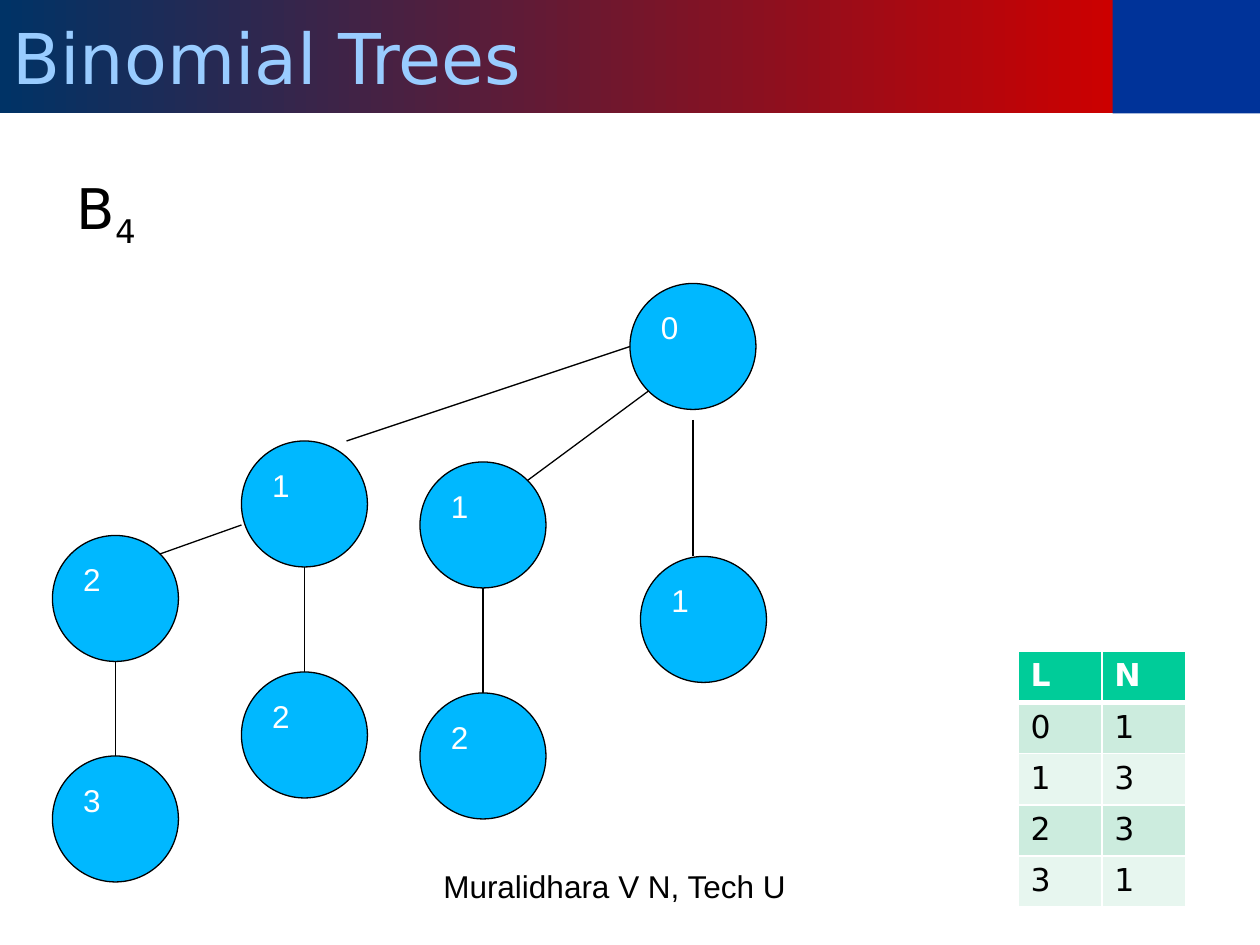
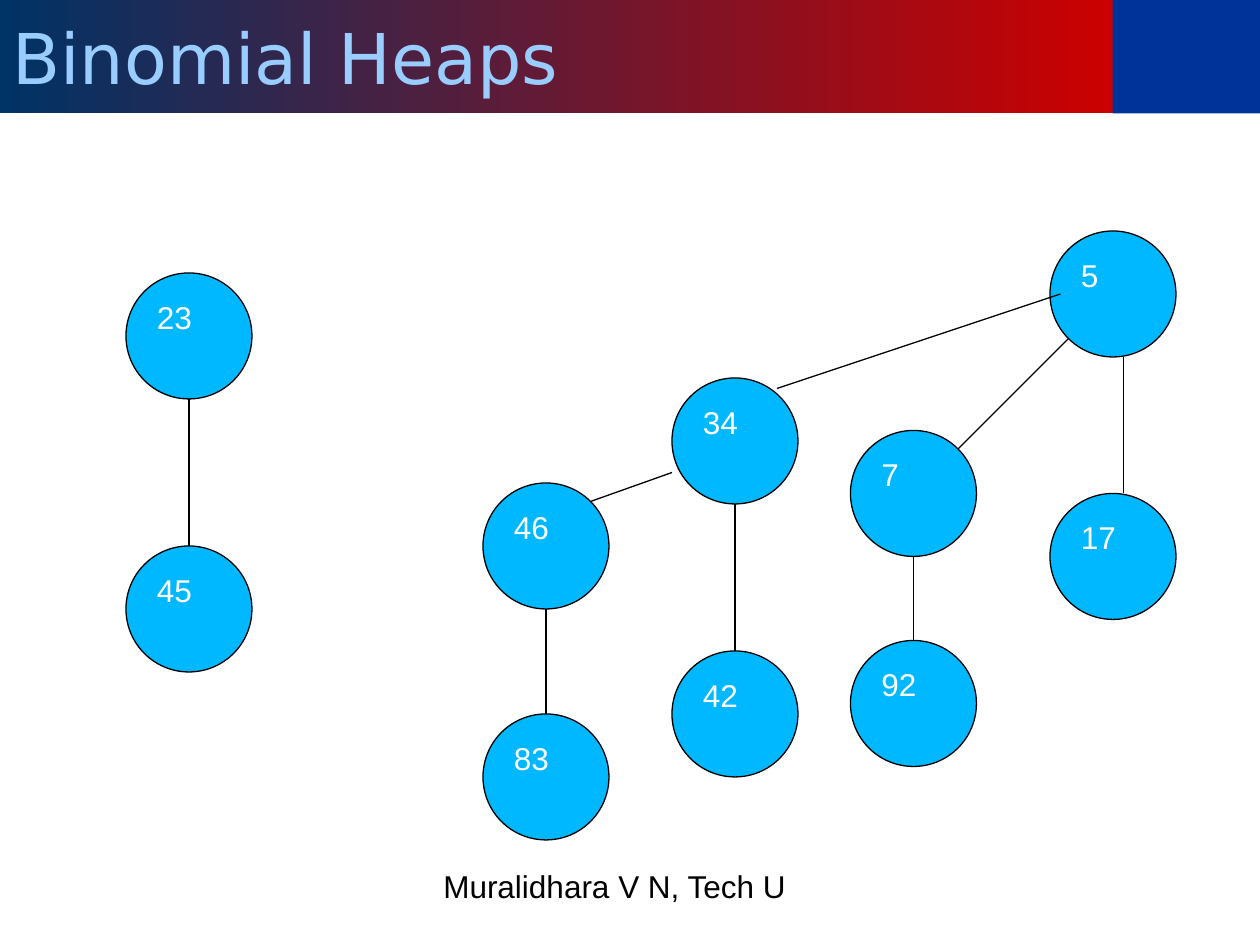
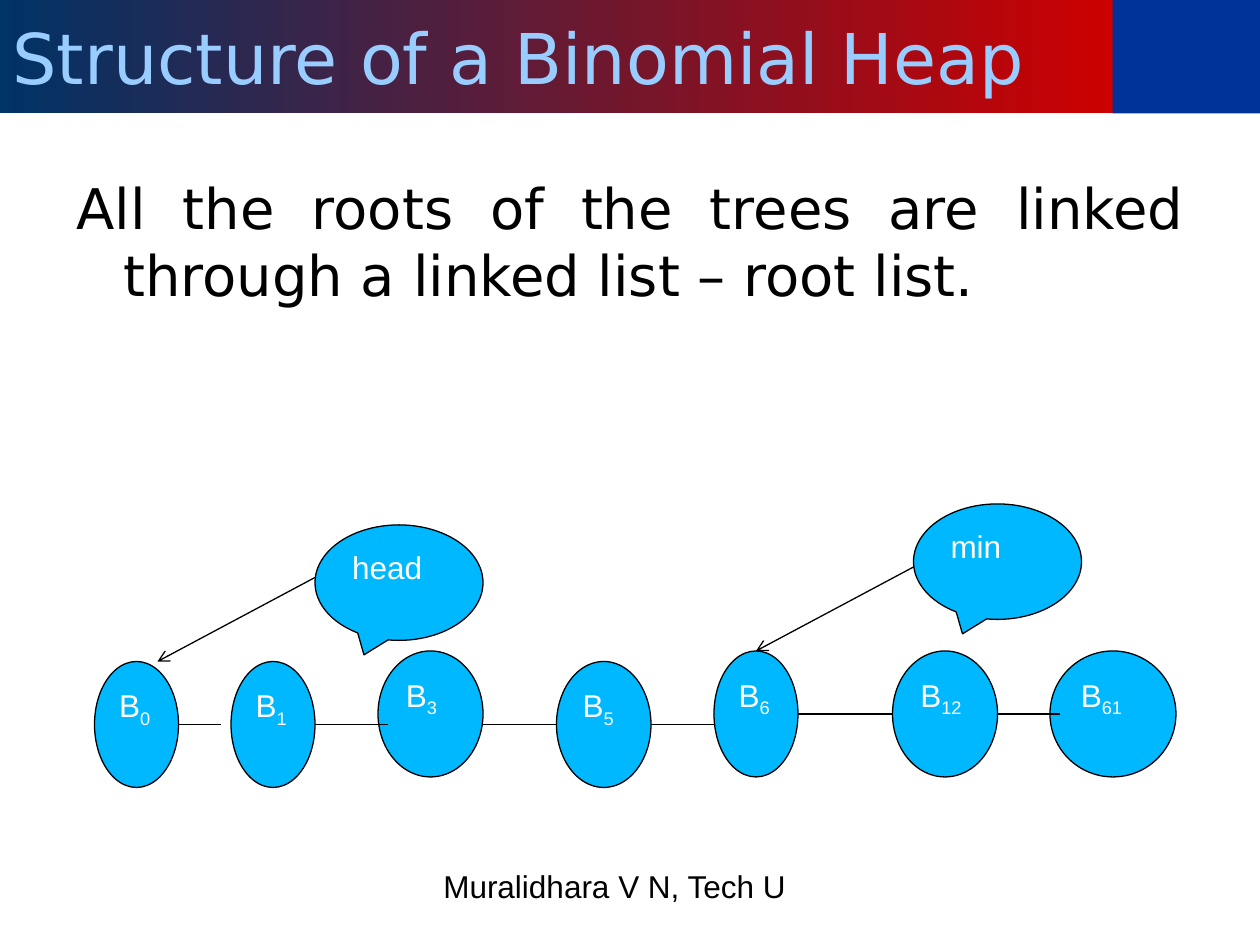
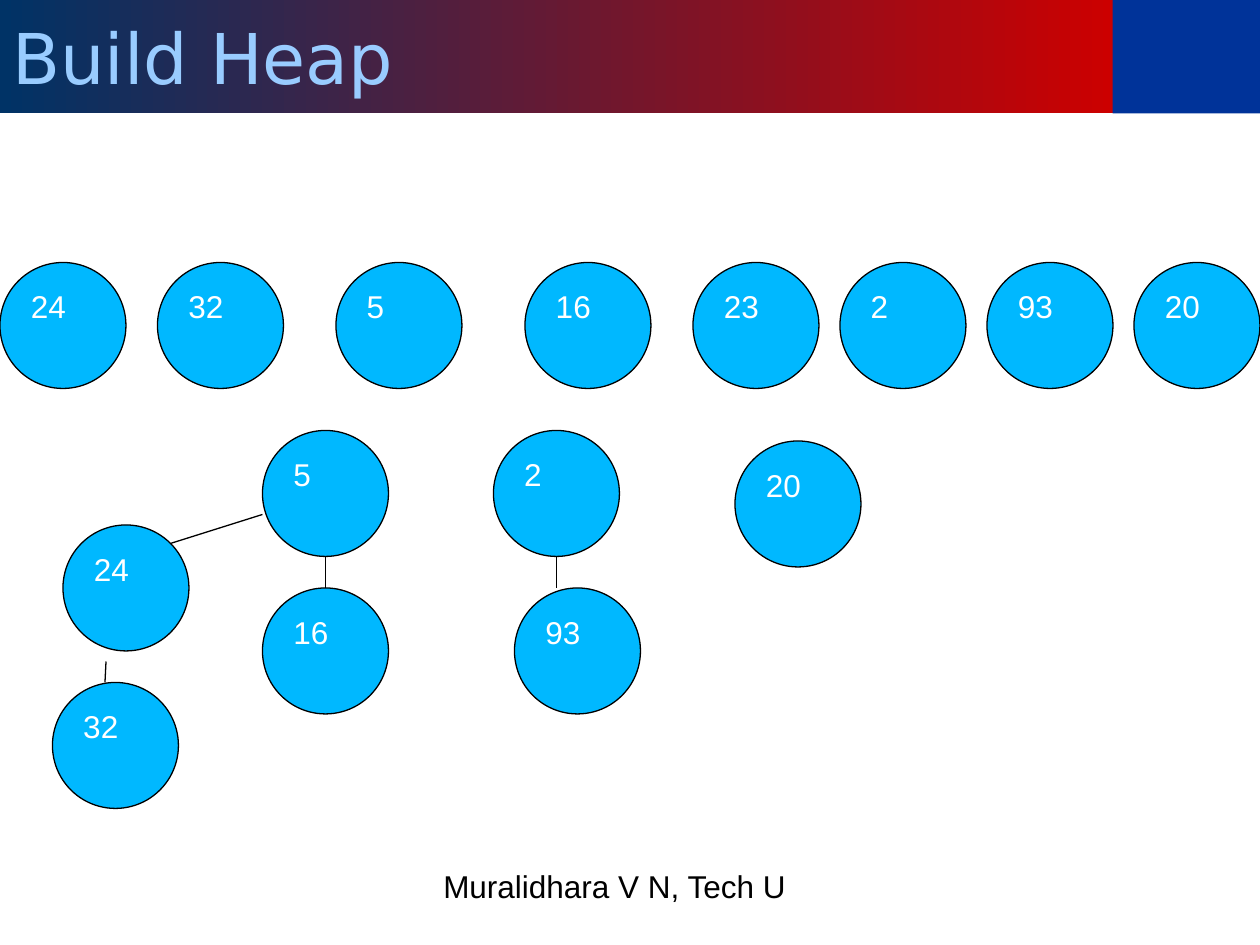
from lxml import etree
from pptx import Presentation
from pptx.dml.color import RGBColor
from pptx.enum.shapes import MSO_CONNECTOR, MSO_SHAPE
from pptx.enum.text import MSO_ANCHOR, MSO_AUTO_SIZE, PP_ALIGN
from pptx.oxml.ns import qn
from pptx.util import Inches, Pt

COLORS = {
    "band_start": "003366", "band_end": "CC0000", "corner": "003399",
    "title": "99CCFF", "node": "00B8FF", "black": "000000", "white": "FFFFFF",
    "table_head": "00CC99", "row_dark": "CCECDE", "row_light": "E7F6EF",
}
TITLE_FONT, NODE_FONT = "DejaVu Sans", "Arial"
FOOTER = "Muralidhara V N, Tech U"
NODE = 12  # node diameter, in grid units


def grid(units):
    """Length of a number of grid units; twelve units make an inch."""
    return Inches(units / 12)


def rgb(name):
    """Colour object for a palette name."""
    return RGBColor.from_string(COLORS[name])


def add_run(paragraph, text, size, font, color, bold=False, subscript=False):
    """Append one formatted run."""
    run = paragraph.add_run()
    run.text = text
    run.font.size, run.font.name, run.font.bold = Pt(size), font, bold
    run.font.color.rgb = rgb(color)
    if subscript:
        run.font._element.set("baseline", "-25000")


def add_text_box(slide, left, top, width, height):
    """Add a wrapping text box and return its first paragraph."""
    box = slide.shapes.add_textbox(
        Inches(left), Inches(top), Inches(width), Inches(height))
    box.text_frame.word_wrap = True
    return box.text_frame.paragraphs[0]


def add_slide(prs, title, footer_width=4.92):
    """Start a slide with its title band, corner block and footer."""
    slide = prs.slides.add_slide(prs.slide_layouts[5])
    band = slide.shapes.title
    band.left, band.top = Inches(0), Inches(0)
    band.width, band.height = Inches(8.84), Inches(0.9)
    band.fill.gradient()
    band.fill.gradient_angle = 180
    for stop, color in zip(band.fill.gradient_stops, ("band_end", "band_start")):
        stop.color.rgb = rgb(color)
    frame = band.text_frame
    frame.auto_size = MSO_AUTO_SIZE.NONE
    frame.vertical_anchor = MSO_ANCHOR.MIDDLE
    frame.paragraphs[0].alignment = PP_ALIGN.LEFT
    add_run(frame.paragraphs[0], title, 40, TITLE_FONT, "title")

    corner = slide.shapes.add_shape(
        MSO_SHAPE.RECTANGLE, Inches(8.83), Inches(0), Inches(1.17), Inches(0.9))
    corner.shadow.inherit = False
    corner.fill.solid()
    corner.fill.fore_color.rgb = rgb("corner")
    corner.line.fill.background()

    footer = add_text_box(slide, 3.42, 6.83, footer_width, 0.52)
    add_run(footer, FOOTER, 18, NODE_FONT, "black")
    return slide


def add_body(slide, text, subscript=""):
    """Add the justified body paragraph with a hanging indent."""
    paragraph = add_text_box(slide, 0.5, 1.33, 9, 5.37)
    paragraph.alignment = PP_ALIGN.JUSTIFY
    paragraph.space_before = Pt(8)
    properties = paragraph._p.get_or_add_pPr()
    properties.set("marL", str(Inches(0.38)))
    properties.set("indent", str(Inches(-0.37)))
    add_run(paragraph, text, 32, TITLE_FONT, "black")
    if subscript:
        add_run(paragraph, subscript, 32, TITLE_FONT, "black", subscript=True)


def add_node(slide, x, y, text, width=NODE, height=NODE, subscript="",
             kind=MSO_SHAPE.OVAL):
    """Add a labelled node at a grid position."""
    node = slide.shapes.add_shape(kind, grid(x), grid(y), grid(width), grid(height))
    node.shadow.inherit = False
    node.fill.solid()
    node.fill.fore_color.rgb = rgb("node")
    node.line.color.rgb = rgb("black")
    node.line.width = Pt(0.75)
    node.text_frame.vertical_anchor = MSO_ANCHOR.TOP
    paragraph = node.text_frame.paragraphs[0]
    paragraph.alignment = PP_ALIGN.LEFT
    add_run(paragraph, text, 18, NODE_FONT, "white")
    if subscript:
        add_run(paragraph, subscript, 18, NODE_FONT, "white", subscript=True)


def add_edge(slide, x1, y1, x2, y2, arrow=False):
    """Draw a thin line between two grid points, with an arrowhead if asked."""
    edge = slide.shapes.add_connector(
        MSO_CONNECTOR.STRAIGHT, grid(x1), grid(y1), grid(x2), grid(y2))
    edge.line.color.rgb = rgb("black")
    edge.line.width = Pt(0.75)
    if arrow:
        etree.SubElement(edge.line._get_or_add_ln(), qn("a:tailEnd"), type="arrow")
    etree.SubElement(edge._element.spPr, qn("a:effectLst"))


def add_tree(slide, left, top, nodes, edges=()):
    """Draw nodes (x, y, key) and edges relative to the tree's corner."""
    for x, y, key in nodes:
        add_node(slide, left + x, top + y, key)
    for x1, y1, x2, y2 in edges:
        add_edge(slide, left + x1, top + y1, left + x2, top + y2)


def add_level_table(slide, left, top, width, height, rows):
    """Add the table of node counts per level."""
    table = slide.shapes.add_table(
        len(rows), len(rows[0]), Inches(left), Inches(top),
        Inches(width), Inches(height)).table
    for r, row in enumerate(rows):
        head = r == 0
        fill = "table_head" if head else ("row_dark" if r % 2 else "row_light")
        for c, text in enumerate(row):
            cell = table.cell(r, c)
            add_run(cell.text_frame.paragraphs[0], text, 18, TITLE_FONT,
                    "white" if head else "black", bold=head)
            properties = cell._tc.get_or_add_tcPr()
            for side in ("lnL", "lnR", "lnT", "lnB"):
                thick = (head and side == "lnB") or (r == 1 and side == "lnT")
                border = etree.SubElement(
                    properties, qn("a:" + side), w=str(Pt(3 if thick else 1)))
                solid = etree.SubElement(border, qn("a:solidFill"))
                etree.SubElement(solid, qn("a:srgbClr"), val=COLORS["white"])
            cell.fill.solid()
            cell.fill.fore_color.rgb = rgb(fill)


def add_root_list(slide, left, top):
    """Draw the linked roots with their head and min pointers."""
    roots = [(0, 15, 8, "0"), (13, 15, 8, "1"), (27, 14, 10, "3"),
             (44, 15, 9, "5"), (59, 14, 8, "6"), (76, 14, 10, "12"),
             (91, 14, 12, "61")]
    for x, y, width, order in roots:
        add_node(slide, left + x, top + y, "B", width, subscript=order)
    for start, end, y in [(8, 12, 21), (21, 28, 21), (37, 44, 21),
                          (53, 59, 21), (67, 76, 20), (86, 92, 20)]:
        add_edge(slide, left + start, top + y, left + end, top + y)
    for x, y, label, drop in [(21, 2, "head", 5), (78, 0, "min", 6)]:
        add_edge(slide, left + x, top + y + drop,
                 left + x - 15, top + y + drop + 8, arrow=True)
        add_node(slide, left + x, top + y, label, 16, 11,
                 kind=MSO_SHAPE.OVAL_CALLOUT)


def binomial_trees(prs):
    """Slide with one tree labelled by level, and its level counts."""
    slide = add_slide(prs, "Binomial Trees")
    add_body(slide, "B", "4")
    add_tree(slide, 5, 27,
             [(55, 0, "0"), (35, 17, "1"), (35, 39, "2"), (56, 26, "1"),
              (18, 15, "1"), (18, 37, "2"), (0, 24, "2"), (0, 45, "3")],
             [(41, 29, 41, 39), (61, 13, 61, 26), (45.24, 18.76, 56.76, 10.24),
              (28, 15, 55, 6), (24, 27, 24, 37), (6, 36, 6, 45),
              (10.24, 25.76, 18, 23)])
    add_level_table(slide, 8.08, 5.17, 1.33, 2.03, ["LN", "01", "13", "23", "31"])


def binomial_heaps(prs):
    """Slide with a heap made of two trees."""
    slide = add_slide(prs, "Binomial Heaps")
    add_tree(slide, 12, 26, [(0, 0, "23"), (0, 26, "45")], [(6, 12, 6, 26)])
    add_tree(slide, 46, 22,
             [(54, 0, "5"), (35, 19, "7"), (35, 39, "92"), (54, 25, "17"),
              (18, 14, "34"), (18, 40, "42"), (0, 24, "46"), (0, 46, "83")],
             [(41, 31, 41, 39), (61, 12, 61, 25), (45.24, 20.76, 55.76, 10.24),
              (28, 15, 55, 6), (24, 26, 24, 40), (6, 36, 6, 46),
              (10.24, 25.76, 18, 23)])


def heap_structure(prs):
    """Slide explaining the root list."""
    slide = add_slide(prs, "Structure of a Binomial Heap")
    add_body(slide, "All the roots of the trees are linked through "
                    "a linked list \u2013 root list.")
    add_root_list(slide, 9, 48)


def build_heap(prs):
    """Slide with the input keys above the heap being built."""
    slide = add_slide(prs, "Build Heap", footer_width=3.16)
    keys = ["24", "32", "5", "16", "23", "2", "93", "20"]
    columns = [0, 15, 32, 50, 66, 80, 94, 108]
    add_tree(slide, 0, 25, [(x, 0, key) for x, key in zip(columns, keys)])
    add_tree(slide, 5, 41,
             [(20, 0, "5"), (1, 9, "24"), (20, 15, "16"), (0, 24, "32")],
             [(5.1, 22, 5, 24), (26, 12, 26, 15), (11.24, 10.76, 20, 8)])
    add_tree(slide, 47, 41, [(0, 0, "2"), (2, 15, "93")], [(6, 12, 6, 15)])
    add_tree(slide, 70, 42, [(0, 0, "20")])


def main():
    """Build the deck and save it."""
    prs = Presentation()
    prs.slide_width, prs.slide_height = Inches(10), Inches(7.5)
    for build in (binomial_trees, binomial_heaps, heap_structure, build_heap):
        build(prs)
    prs.save("out.pptx")


main()
